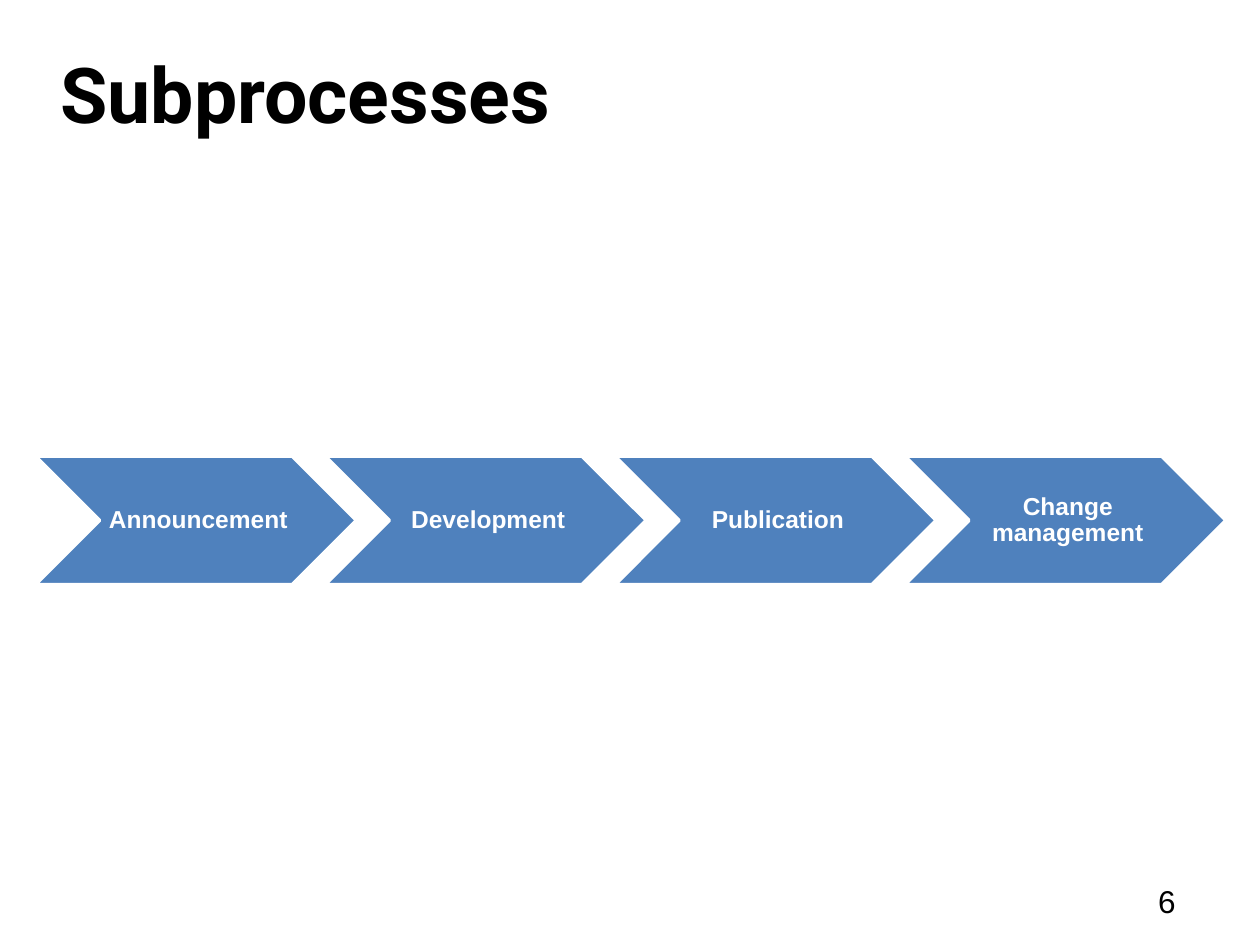
"""Build the Subprocesses slide: a title, a row of chevrons and a page number."""
from pptx import Presentation
from pptx.dml.color import RGBColor
from pptx.enum.shapes import MSO_SHAPE
from pptx.enum.text import MSO_ANCHOR, MSO_AUTO_SIZE, PP_ALIGN
from pptx.util import Pt

PX = 9144
CHEVRON = MSO_SHAPE.CHEVRON
TOP, MIDDLE = MSO_ANCHOR.TOP, MSO_ANCHOR.MIDDLE
LEFT, CENTER = PP_ALIGN.LEFT, PP_ALIGN.CENTER
GROW, FIXED = MSO_AUTO_SIZE.SHAPE_TO_FIT_TEXT, MSO_AUTO_SIZE.NONE
COLORS = {"ink": "000000", "step": "4F81BD", "paper": "FFFFFF"}
STEPS = ["Announcement", "Development", "Publication", "Change management"]


def color(name):
    """Return the named colour."""
    return RGBColor.from_string(COLORS[name])


def scale(*sizes):
    """Turn px lengths into EMU."""
    return [size * PX for size in sizes]


def assign(target, values):
    """Set each attribute of the target from a dict."""
    for name, value in values.items():
        setattr(target, name, value)


def write(shapes, box, text, font, ink, frame, para):
    """Place a text box with one formatted paragraph."""
    body = shapes.add_textbox(*scale(*box)).text_frame
    assign(body, {"word_wrap": True, "auto_size": FIXED, **frame})
    line = body.paragraphs[0]
    assign(line, para)
    run = line.add_run()
    run.text = text
    assign(run.font, font)
    run.font.color.rgb = color(ink)


def margins(left, rest):
    """Return the insets of a text frame."""
    left, rest = scale(left, rest)
    return {"margin_left": left, "margin_top": rest,
            "margin_right": rest, "margin_bottom": rest}


def title(slide, box):
    """Place the slide title."""
    write(slide.shapes, box, "Subprocesses",
          {"name": "Roboto", "size": Pt(44), "bold": True}, "ink",
          {"vertical_anchor": TOP, **margins(5, 5)}, {"alignment": LEFT})


def number(slide, box):
    """Place the page number."""
    write(slide.shapes, box, "6", {"name": "Arial", "size": Pt(18)}, "ink",
          {"vertical_anchor": TOP, "auto_size": GROW, **margins(5, 5)},
          {"alignment": CENTER})


def process(slide, box):
    """Place overlapping chevrons, each a tenth of its width over the next."""
    left, top, width, height = box
    wide = round(width / (0.9 * len(STEPS) + 0.1))
    pitch = round(wide * 0.9)
    inset = height // 2
    shapes = slide.shapes.add_group_shape().shapes
    for index, text in enumerate(STEPS):
        x = left + index * pitch
        step = shapes.add_shape(CHEVRON, *scale(x, top, wide, height))
        step.shadow.inherit = False
        step.fill.solid()
        step.fill.fore_color.rgb = color("step")
        step.line.color.rgb = color("paper")
        step.line.width = Pt(2)
        write(shapes, (x + inset, top, wide - 2 * inset, height), text,
              {"name": "Arial", "size": Pt(14), "bold": True}, "paper",
              {"vertical_anchor": MIDDLE, **margins(6, 2)},
              {"alignment": CENTER, "line_spacing": 0.9})


def main():
    """Build and save the slide."""
    deck = Presentation()
    deck.slide_width, deck.slide_height = scale(1000, 750)
    slide = deck.slides.add_slide(deck.slide_layouts[6])
    title(slide, (43, 32, 811, 122))
    number(slide, (902, 695, 48, 41))
    process(slide, (28, 362, 944, 102))
    deck.save("out.pptx")


if __name__ == "__main__":
    main()
